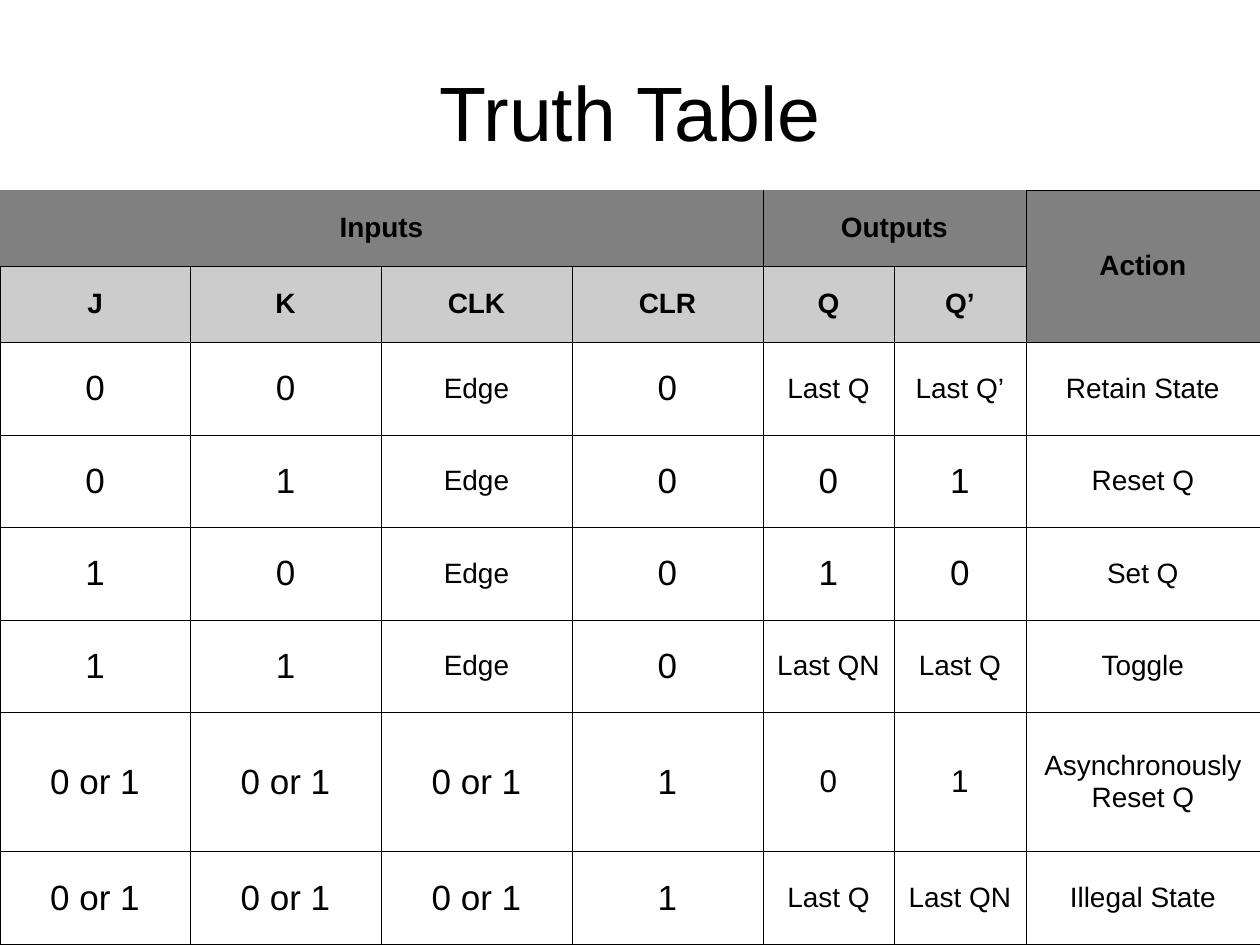
"""Build the truth table slide for a JK flip-flop with clear."""
from dataclasses import dataclass

from lxml.etree import SubElement
from pptx import Presentation
from pptx.dml.color import RGBColor as RGB
from pptx.enum.text import MSO_ANCHOR as Anchor, PP_ALIGN as Align
from pptx.oxml.ns import qn
from pptx.util import Pt


@dataclass(frozen=True)
class Theme:
    font: str = "Arial"
    ink: str = "000000"
    group_fill: str = "808080"
    signal_fill: str = "CCCCCC"
    title_size: int = 44
    value_size: int = 20
    clear_size: int = 18
    label_size: int = 16
    rule_width: float = 0.45


def px(length):
    return round(length * 914400 / 126)


def style_text(frame, size, bold=False):
    frame.vertical_anchor = Anchor.MIDDLE
    paragraph = frame.paragraphs[0]
    paragraph.alignment = Align.CENTER
    font = paragraph.font
    font.name, font.size, font.bold = theme.font, Pt(size), bold
    font.color.rgb = RGB.from_string(theme.ink)


theme = Theme()
column_widths = [190, 191, 191, 191, 131, 132, 234]
row_heights = [76, 76, 93, 92, 93, 92, 140, 93]
ACTION, CLEAR_ROW = 6, 6
states = [
    ["Inputs", "", "", "", "Outputs", "", "Action"],
    ["J", "K", "CLK", "CLR", "Q", "Q’", ""],
    ["0", "0", "Edge", "0", "Last Q", "Last Q’", "Retain State"],
    ["0", "1", "Edge", "0", "0", "1", "Reset Q"],
    ["1", "0", "Edge", "0", "1", "0", "Set Q"],
    ["1", "1", "Edge", "0", "Last QN", "Last Q", "Toggle"],
    ["0 or 1", "0 or 1", "0 or 1", "1", "0", "1", "Asynchronously Reset Q"],
    ["0 or 1", "0 or 1", "0 or 1", "1", "Last Q", "Last QN", "Illegal State"],
]

deck = Presentation()
deck.slide_width, deck.slide_height = px(1260), px(945)
slide = deck.slides.add_slide(deck.slide_layouts[5])

title = slide.shapes.title
title.left, title.top, title.width, title.height = px(63), px(32), px(1134), px(158)
title.text_frame.text = "Truth Table"
style_text(title.text_frame, theme.title_size)

truth_table = slide.shapes.add_table(
    len(row_heights), len(column_widths), 0, px(190),
    px(sum(column_widths)), px(sum(row_heights))).table
truth_table.first_row = truth_table.horz_banding = False
for column, width in zip(truth_table.columns, column_widths):
    column.width = px(width)
for row, height in zip(truth_table.rows, row_heights):
    row.height = px(height)

for r, state in enumerate(states):
    for c, text in enumerate(state):
        cell = truth_table.cell(r, c)
        cell.text = text
        cell.margin_left = cell.margin_right = px(6)
        cell.margin_top = cell.margin_bottom = px(6)

        size = theme.value_size if text[:1] in ("0", "1") else theme.label_size
        if r == CLEAR_ROW and c in (4, 5):
            size = theme.clear_size
        style_text(cell.text_frame, size, bold=r < 2)
        cell.vertical_anchor = Anchor.MIDDLE

        ruled = "LRTB"
        if r == 0 and c < ACTION:
            ruled = "LRB" if c >= 4 else "RB"
        for side in "LRTB":
            edge = SubElement(cell._tc.get_or_add_tcPr(), qn(f"a:ln{side}"),
                              w=str(Pt(theme.rule_width)))
            if side in ruled:
                paint = SubElement(edge, qn("a:solidFill"))
                SubElement(paint, qn("a:srgbClr"), val=theme.ink)
            else:
                SubElement(edge, qn("a:noFill"))

        if r < 2:
            is_group = r == 0 or c == ACTION
            cell.fill.solid()
            cell.fill.fore_color.rgb = RGB.from_string(
                theme.group_fill if is_group else theme.signal_fill)
        else:
            cell.fill.background()

for first, last in [((0, 0), (0, 3)), ((0, 4), (0, 5)), ((0, ACTION), (1, ACTION))]:
    truth_table.cell(*first).merge(truth_table.cell(*last))

deck.save("out.pptx")
